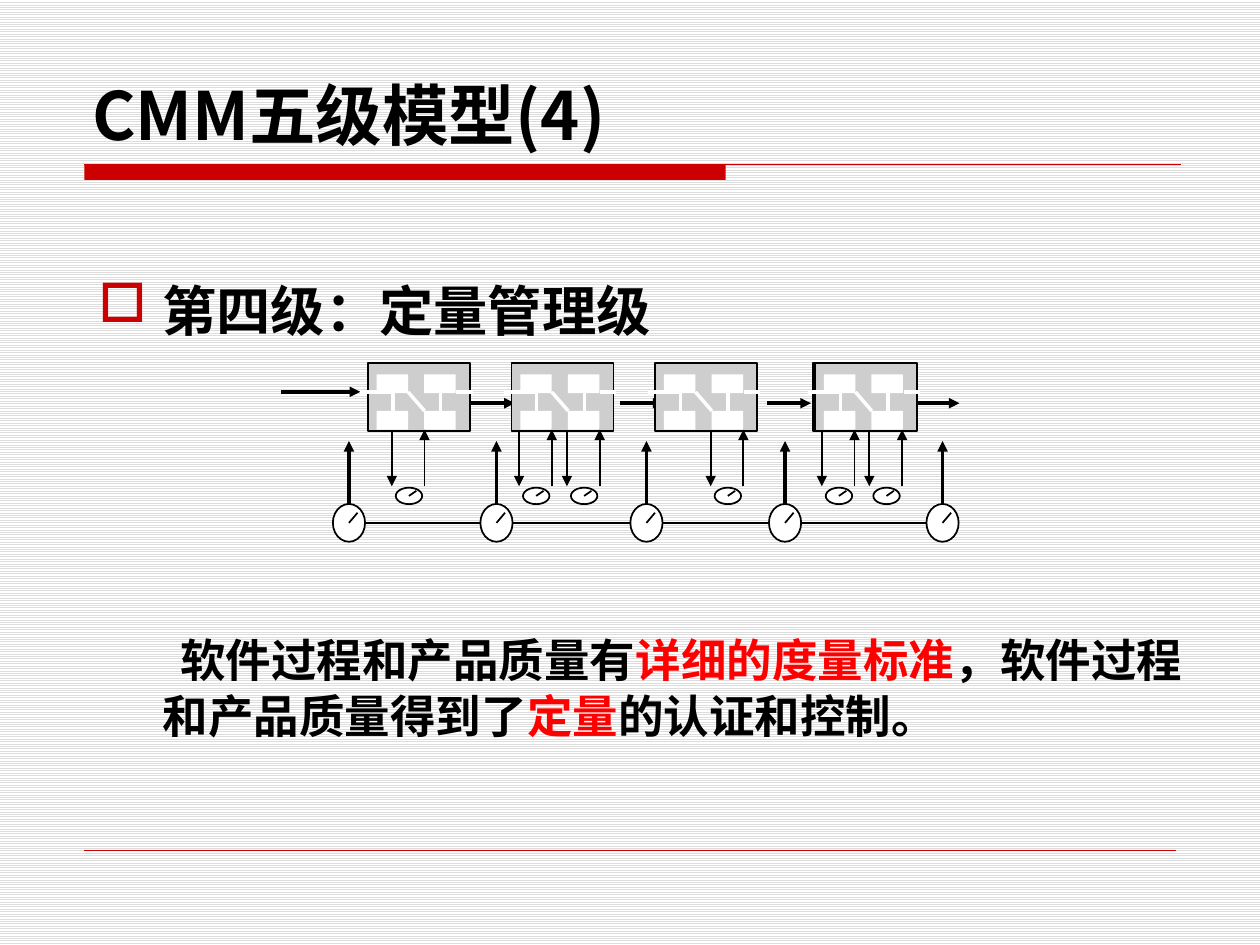
from lxml.etree import SubElement
from pptx import Presentation
from pptx.dml.color import RGBColor
from pptx.enum.dml import MSO_PATTERN as Pattern
from pptx.enum.shapes import MSO_CONNECTOR as Connector, MSO_SHAPE as Shape
from pptx.enum.text import MSO_ANCHOR as Anchor
from pptx.oxml.ns import qn
from pptx.util import Pt

BLACK = RGBColor(0x00, 0x00, 0x00)
WHITE = RGBColor(0xFF, 0xFF, 0xFF)
GREY = RGBColor(0xCE, 0xCE, 0xCE)
STRIPE = RGBColor(0xDD, 0xDD, 0xDD)
CRIMSON = RGBColor(0xCC, 0x00, 0x00)
RED = RGBColor(0xFF, 0x00, 0x00)
CJK_FONT = "Noto Sans CJK SC"
BODY_FONT = "Open Sans"


def set_all(target, formats):
    for name, value in formats.items():
        setattr(target, name, value)


def add_line(page, start, end, color=BLACK, width=1, arrow=False):
    points = [Pt(value) for value in (*start, *end)]
    line = page.shapes.add_connector(Connector.STRAIGHT, *points)
    line.line.color.rgb = color
    line.line.width = Pt(width)
    if arrow:
        SubElement(line.line._get_or_add_ln(), qn("a:tailEnd"), type="triangle")
    SubElement(line._element.spPr, qn("a:effectLst"))


def add_figure(page, kind, left, top, width, height, fill, outline=None):
    figure = page.shapes.add_shape(kind, Pt(left), Pt(top), Pt(width), Pt(height))
    figure.shadow.inherit = False
    figure.fill.solid()
    figure.fill.fore_color.rgb = fill
    if outline is None:
        figure.line.fill.background()
    else:
        figure.line.color.rgb = outline
        figure.line.width = Pt(1)


def add_text(page, left, top, width, height, spans, size, font, anchor=Anchor.TOP):
    box = page.shapes.add_textbox(Pt(left), Pt(top), Pt(width), Pt(height))
    set_all(box.text_frame, {
        "word_wrap": True, "vertical_anchor": anchor,
        "margin_left": 0, "margin_right": 0, "margin_top": 0, "margin_bottom": 0,
    })
    para = box.text_frame.paragraphs[0]
    for text, color in spans:
        span = para.add_run()
        span.text = text
        set_all(span.font, {"name": font, "size": Pt(size), "bold": True})
        span.font.color.rgb = color
        SubElement(span.font._element, qn("a:ea"), typeface=CJK_FONT)
    return para


def set_indent(para, margin, indent):
    props = para._p.get_or_add_pPr()
    props.set("marL", str(Pt(margin)))
    props.set("indent", str(Pt(indent)))
    return props


def add_header(page, left, top, width):
    add_text(page, left + 4.5, top, width, 96, [("CMM五级模型(4)", BLACK)],
             38, CJK_FONT, Anchor.BOTTOM)
    rule_top = top + 102.2
    add_figure(page, Shape.RECTANGLE, left, rule_top, 366.5, 8.6, CRIMSON)
    add_line(page, (left, rule_top), (left + width, rule_top), CRIMSON, 0.75)


def add_heading(page, left, top, width):
    para = add_text(page, left, top, width, 40, [("第四级：定量管理级", BLACK)],
                    31, BODY_FONT)
    para.line_spacing = Pt(40)
    props = set_indent(para, 36.7, -36.7)
    color = SubElement(props, qn("a:buClr"))
    SubElement(color, qn("a:srgbClr"), val=str(CRIMSON))
    SubElement(props, qn("a:buChar"), char="□")


def add_summary(page, left, top, width):
    para = add_text(page, left, top, width, 64, [
        ("软件过程和产品质量有", BLACK),
        ("详细的度量标准", RED),
        ("，软件过程和产品质量得到了", BLACK),
        ("定量", RED),
        ("的认证和控制。", BLACK),
    ], 26, BODY_FONT)
    para.line_spacing = Pt(32)
    set_indent(para, 0, 10)


def add_stage(page, left, top):
    add_figure(page, Shape.RECTANGLE, left, top, 58.3, 38.9, GREY, BLACK)
    for column in (5, 32.2):
        for row in (6.5, 27.4):
            add_figure(page, Shape.RECTANGLE, left + column, top + row, 18, 10.8, WHITE)
    upper, lower = top + 16.6, top + 27.4
    for x1, y1, x2, y2 in (
        (-4.3, upper, 14.4, upper),
        (14.4, upper, 14.4, lower),
        (23, upper, 32.4, lower),
        (41.6, lower, 41.6, upper),
        (50.6, upper, 59.8, upper),
    ):
        add_line(page, (left + x1, y1), (left + x2, y2), WHITE, 2)


def add_gauge(page, x, y, width, height, needle):
    add_figure(page, Shape.OVAL, x - width / 2, y - height / 2, width, height,
               WHITE, BLACK)
    add_line(page, (x, y), (x + needle[0], y - needle[1]))


def add_feedback(page, left, top):
    add_gauge(page, left + 9.8, top + 37.9, 15.1, 9.4, (4.2, 2.9))
    bottom = top + 32.4
    add_line(page, (left, top), (left, bottom), arrow=True)
    add_line(page, (left + 18.7, bottom), (left + 18.7, top), arrow=True)


def add_process_diagram(page, left, top):
    flow_y = top + 23
    add_line(page, (left, top + 16.5), (left + 45.3, top + 16.5), width=2, arrow=True)
    for x in (108.7, 193.6, 277.9, 362.8):
        add_line(page, (left + x, flow_y), (left + x + 24.9, flow_y), width=2, arrow=True)

    gauge_y = top + 91.4
    gauges = [left + x for x in (38.8, 123.1, 208.8, 288, 378)]
    for x in gauges:
        add_line(page, (x, gauge_y), (x, top + 44.6), width=2, arrow=True)
    add_line(page, (gauges[0], gauge_y), (gauges[-1], gauge_y))
    for x in gauges:
        add_gauge(page, x, gauge_y, 18.4, 21.6, (4.9, 5.8))

    add_figure(page, Shape.RECTANGLE, left + 303.8, top, 58.3, 38.9, GREY, BLACK)
    stages = ((49.6, [13.7]), (131.7, [4.3, 31.7]), (213.8, [31.7]), (305.2, [3.8, 31]))
    for x, feedbacks in stages:
        add_stage(page, left + x, top)
        for offset in feedbacks:
            add_feedback(page, left + x + offset, top + 38.1)


def build():
    deck = Presentation()
    set_all(deck, {"slide_width": Pt(720), "slide_height": Pt(540)})
    page = deck.slides.add_slide(deck.slide_layouts[6])
    fill = page.background.fill
    fill.patterned()
    fill.pattern = Pattern.LIGHT_HORIZONTAL
    fill.fore_color.rgb = STRIPE
    fill.back_color.rgb = WHITE

    add_header(page, 48.2, -8, 626.5)
    add_line(page, (48.2, 486), (671.8, 486), CRIMSON, 0.25)
    add_heading(page, 56.2, 155.6, 633.6)
    add_summary(page, 92.9, 360.3, 596.9)
    add_process_diagram(page, 160.6, 207.4)
    deck.save("out.pptx")


build()
